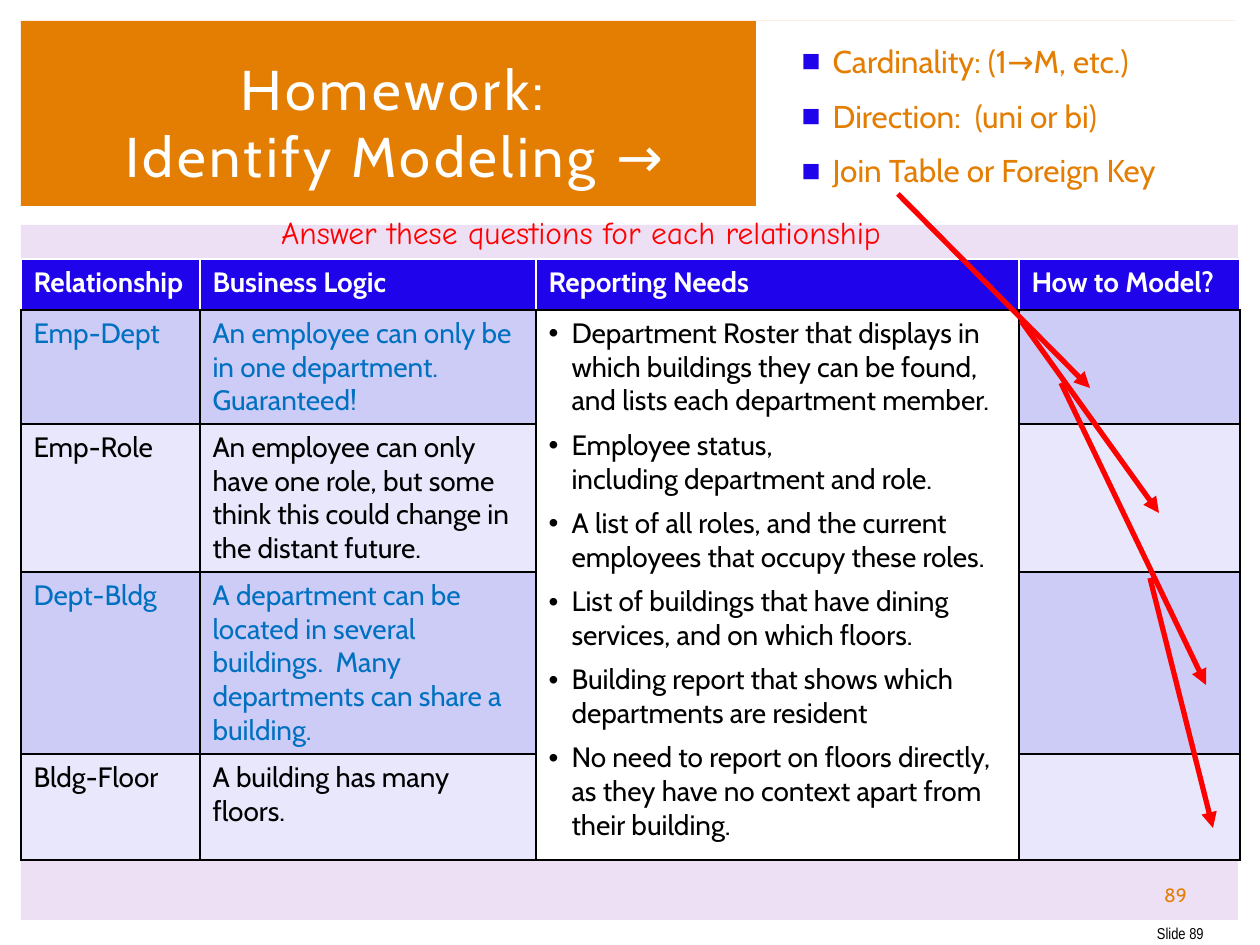
from lxml import etree
from pptx import Presentation
from pptx.dml.color import RGBColor
from pptx.enum.shapes import MSO_CONNECTOR, MSO_SHAPE
from pptx.enum.text import MSO_ANCHOR, MSO_AUTO_SIZE, PP_ALIGN
from pptx.oxml.ns import qn
from pptx.util import Pt

LEFT, CENTER, RIGHT = PP_ALIGN.LEFT, PP_ALIGN.CENTER, PP_ALIGN.RIGHT
TOP, MIDDLE = MSO_ANCHOR.TOP, MSO_ANCHOR.MIDDLE
NO_FIT = MSO_AUTO_SIZE.NONE
RECT, STRAIGHT = MSO_SHAPE.RECTANGLE, MSO_CONNECTOR.STRAIGHT

HUES = {
    "white": "FFFFFF", "black": "000000", "orange": "E37E03",
    "lilac": "EEE0F4", "blue": "1F03EB", "sky": "0070C0",
    "dark": "CDCCF7", "pale": "E8E7FB", "red": "FF0000",
}
FONTS = {
    "title": {"name": "Cabin", "size": Pt(32), "bold": False},
    "list": {"name": "Cabin", "size": Pt(18), "bold": False},
    "head": {"name": "Cabin", "size": Pt(16), "bold": True},
    "cell": {"name": "Cabin", "size": Pt(16), "bold": False},
    "note": {"name": "Comic Neue", "size": Pt(18), "bold": False},
    "page": {"name": "Cabin", "size": Pt(11), "bold": False},
    "foot": {"name": "Arial Narrow", "size": Pt(9), "bold": False},
}
ASKS = ["Cardinality: (1→M, etc.)", "Direction:  (uni or bi)",
        "Join Table or Foreign Key"]
HEADS = ["Relationship", "Business Logic", "Reporting Needs", "How to Model?"]
RULES = [
    ("Emp-Dept", "An employee can only be in one department.  Guaranteed!"),
    ("Emp-Role", "An employee can only have one role, but some think this "
                 "could change in the distant future."),
    ("Dept-Bldg", "A department can be located in several buildings.  Many "
                  "departments can share a building."),
    ("Bldg-Floor", "A building has many floors."),
]
NEEDS = [
    "Department Roster that displays in which buildings they can be found, "
    "and lists each department member.",
    "Employee status,\nincluding department and role.",
    "A list of all roles, and the current employees that occupy these roles.",
    "List of buildings that have dining services, and on which floors.",
    "Building report that shows which departments are resident",
    "No need to report on floors directly, as they have no context apart "
    "from their building.",
]
COLS = [179, 336, 483, 221]
ROWS = [51, 114, 148, 182, 106]
ARROWS = [(0, 0, 192, 194), (123, 127, 261, 319),
          (163, 189, 308, 491), (252, 384, 315, 634)]


def px(num):
    return round(num * 914400 / 126)


def rgb(hue):
    return RGBColor.from_string(HUES[hue])


def paint(item, hue):
    item.fill.solid()
    item.fill.fore_color.rgb = rgb(hue)


def place(shape, box):
    for key, val in zip(("left", "top", "width", "height"), box):
        setattr(shape, key, px(val))


def bullet(para, mark, edge, hang, hue):
    props = para._p.get_or_add_pPr()
    props.set("marL", str(px(edge)))
    props.set("indent", str(-px(hang)))
    tint = etree.SubElement(props, qn("a:buClr"))
    etree.SubElement(tint, qn("a:srgbClr"), val=HUES[hue])
    etree.SubElement(props, qn("a:buFont"), typeface="Arial")
    etree.SubElement(props, qn("a:buChar"), char=mark)


def write(frame, lines, font, hue, form=None, mark=None, gap=0):
    frame.word_wrap = True
    for i, line in enumerate(lines):
        para = frame.add_paragraph() if i else frame.paragraphs[0]
        para.text = line
        if mark:
            bullet(para, *mark)
        para.space_before = Pt(gap if i else 0)
        for key, val in (form or {}).items():
            setattr(para, key, val)
        for run in para.runs:
            for key, val in FONTS[font].items():
                setattr(run.font, key, val)
            run.font.color.rgb = rgb(hue)


def panel(slide, box, hue):
    rect = slide.shapes.add_shape(RECT, *map(px, box))
    rect.shadow.inherit = False
    paint(rect, hue)
    rect.line.fill.background()


def label(slide, box, text, font, hue, anchor, form):
    frame = slide.shapes.add_textbox(*map(px, box)).text_frame
    frame.vertical_anchor = anchor
    write(frame, [text], font, hue, form)


def raise_up(slide, shape, box):
    slide.shapes._spTree.append(shape._element)
    place(shape, box)
    shape.text_frame.auto_size = NO_FIT
    shape.text_frame.vertical_anchor = MIDDLE


def banner(slide, box):
    left, top, wide, high = box
    panel(slide, box, "orange")
    title = slide.shapes.title
    raise_up(slide, title, (left + 32, top + 28, 683, 145))
    write(title.text_frame, ["Homework:\nIdentify Modeling →"],
          "title", "white", {"alignment": CENTER})
    for run in title.text_frame.paragraphs[0].runs:
        run.font._element.set("spc", "200")


def asks(slide, box):
    body = slide.placeholders[1]
    raise_up(slide, body, box)
    paint(body, "white")
    write(body.text_frame, ASKS, "list", "orange",
          {"alignment": LEFT, "space_after": Pt(6)},
          ("■", 64, 31, "blue"), 3.6)


def border(cell, hues):
    props = cell._tc.get_or_add_tcPr()
    for i, (side, hue) in enumerate(zip("LRTB", hues)):
        line = etree.Element(qn("a:ln" + side), w=str(Pt(1)))
        fill = etree.SubElement(line, qn("a:solidFill"))
        etree.SubElement(fill, qn("a:srgbClr"), val=HUES[hue])
        props.insert(i, line)


def grid(slide, box):
    table = slide.shapes.add_table(len(ROWS), len(COLS), *map(px, box)).table
    for col, wide in zip(table.columns, COLS):
        col.width = px(wide)
    for row, high in zip(table.rows, ROWS):
        row.height = px(high)
    for r in range(len(ROWS)):
        for c in range(len(COLS)):
            cell = table.cell(r, c)
            band = "dark" if r % 2 else "pale"
            paint(cell, "blue" if r == 0 else "white" if c == 2 else band)
            edge = "black" if r else "white"
            border(cell, [edge] * 3 + ["black"])
    for c, text in enumerate(HEADS):
        write(table.cell(0, c).text_frame, [text], "head", "white")
    for r, pair in enumerate(RULES, 1):
        for c, text in enumerate(pair):
            write(table.cell(r, c).text_frame, [text], "cell",
                  "sky" if r % 2 else "black")
    needs = table.cell(1, 2)
    needs.merge(table.cell(len(RULES), 2))
    write(needs.text_frame, NEEDS, "cell", "black",
          mark=("•", 23, 23, "black"), gap=6)


def arrows(slide, box):
    left, top = box[:2]
    for x1, y1, x2, y2 in ARROWS:
        ends = (left + x1, top + y1, left + x2, top + y2)
        line = slide.shapes.add_connector(STRAIGHT, *map(px, ends))
        line.line.color.rgb = rgb("red")
        line.line.width = Pt(3)
        etree.SubElement(line.line._get_or_add_ln(), qn("a:tailEnd"),
                         type="triangle")
        etree.SubElement(line._element.spPr, qn("a:effectLst"))


def footer(slide, box):
    left, top, wide, high = box
    half = high // 2
    label(slide, (left, top, wide, half), "89", "page", "orange", MIDDLE,
          {"alignment": CENTER})
    label(slide, (left, top + half, wide, half), "Slide 89", "foot", "black",
          MIDDLE, {"alignment": RIGHT})


def main():
    deck = Presentation()
    deck.slide_width, deck.slide_height = px(1260), px(945)
    slide = deck.slides.add_slide(deck.slide_layouts[1])
    panel(slide, (21, 225, 1217, 695), "lilac")
    banner(slide, (21, 21, 1215, 185))
    grid(slide, (21, 259, sum(COLS), sum(ROWS)))
    asks(slide, (756, 21, 482, 189))
    arrows(slide, (898, 194, 315, 634))
    label(slide, (183, 213, 796, 44),
          "Answer these questions for each relationship", "note", "red", TOP,
          {"alignment": CENTER, "line_spacing": Pt(18)})
    footer(slide, (1135, 876, 81, 76))
    deck.save("out.pptx")


if __name__ == "__main__":
    main()
